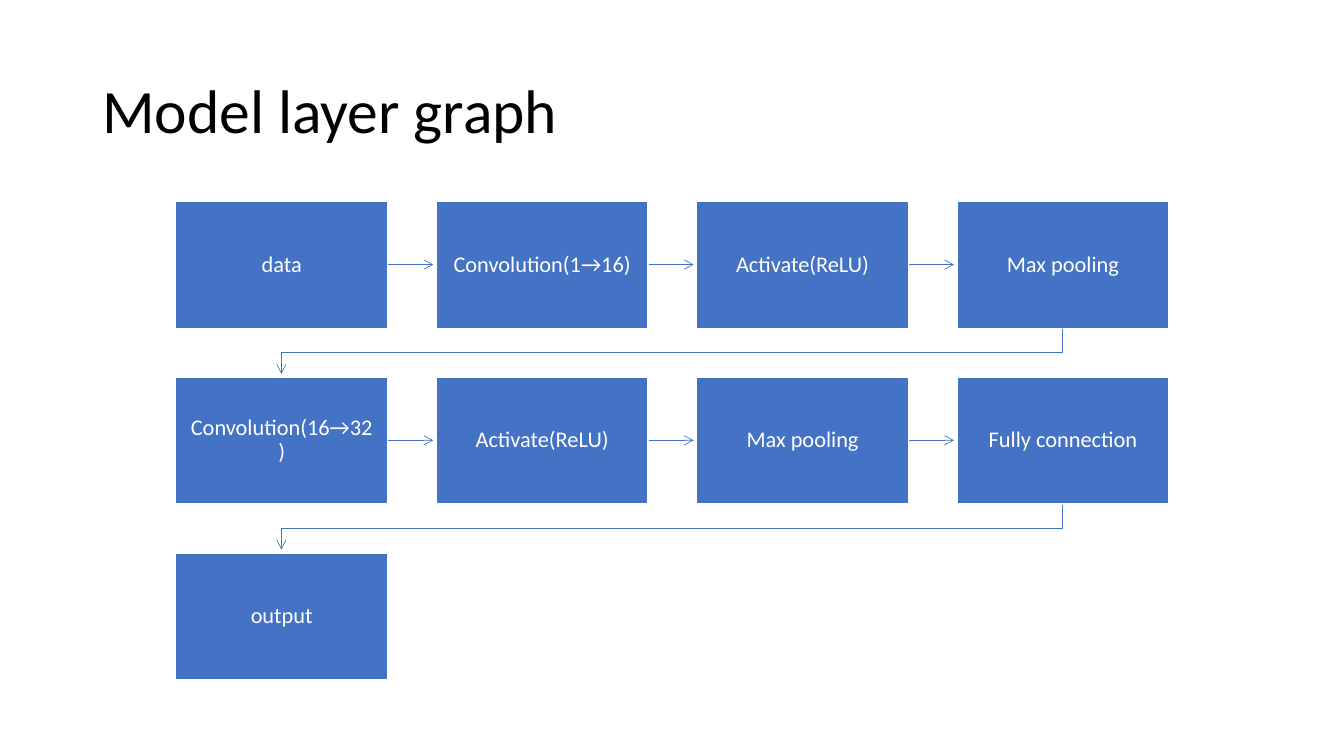
from pptx import Presentation
from pptx.dml.color import RGBColor
from pptx.enum.shapes import MSO_CONNECTOR as CONN, MSO_SHAPE as SHAPE
from pptx.enum.text import MSO_ANCHOR as ANCHOR, PP_ALIGN as ALIGN
from pptx.oxml.ns import qn
from pptx.util import Pt
from lxml.etree import SubElement

BLUE, WHITE, BLACK = "4472C4", "FFFFFF", "000000"
COLUMNS = 4
BOX_W, BOX_H = 303, 181
PITCH_X, PITCH_Y = 372, 251
ARROW, BEND = 65, 35
LAYERS = [
    "data", "Convolution(1→16)", "Activate(ReLU)", "Max pooling",
    "Convolution(16→32)", "Activate(ReLU)", "Max pooling", "Fully connection",
    "output",
]


def px(n):
    return n * 6350


def color(value):
    return RGBColor.from_string(value)


def write(shape, text, size, fill, align, inset):
    tf = shape.text_frame
    tf.word_wrap = True
    tf.vertical_anchor = ANCHOR.MIDDLE
    tf.margin_left = tf.margin_right = px(inset)
    tf.margin_top = tf.margin_bottom = px(inset)
    p = tf.paragraphs[0]
    p.text = text
    p.alignment = align
    p.line_spacing = 0.9
    font = p.runs[0].font
    font.name = "Calibri"
    font.size = Pt(size)
    font.color.rgb = color(fill)


def style_arrow(shape):
    shape.line.color.rgb = color(BLUE)
    shape.line.width = Pt(0.5)
    sp_pr = shape._element.spPr
    SubElement(sp_pr.find(qn("a:ln")), qn("a:tailEnd"), type="arrow")
    SubElement(sp_pr, qn("a:effectLst"))


def add_title(s, x, y, w, h):
    box = s.shapes.add_textbox(px(x), px(y), px(w), px(h))
    write(box, "Model layer graph", 44, BLACK, ALIGN.LEFT, 14)


def add_layer(s, text, x, y):
    box = s.shapes.add_shape(SHAPE.RECTANGLE, px(x), px(y), px(BOX_W), px(BOX_H))
    box.shadow.inherit = False
    box.fill.solid()
    box.fill.fore_color.rgb = color(BLUE)
    box.line.color.rgb = color(WHITE)
    box.line.width = Pt(1)
    write(box, text, 16, WHITE, ALIGN.CENTER, 17)


def add_step_arrow(s, x, y):
    arrow = s.shapes.add_connector(CONN.STRAIGHT, px(x), px(y), px(x + ARROW), px(y))
    style_arrow(arrow)


def add_row_arrow(s, start_x, end_x, y):
    path = s.shapes.build_freeform(px(start_x), px(y))
    path.add_line_segments([
        (px(start_x), px(y + BEND)),
        (px(end_x), px(y + BEND)),
        (px(end_x), px(y + ARROW)),
    ], close=False)
    arrow = path.convert_to_shape()
    arrow.fill.background()
    style_arrow(arrow)


def add_graph(s, left, top):
    for i, text in enumerate(LAYERS):
        row, col = divmod(i, COLUMNS)
        x, y = left + col * PITCH_X, top + row * PITCH_Y
        if i < len(LAYERS) - 1:
            if col < COLUMNS - 1:
                add_step_arrow(s, x + BOX_W, y + BOX_H // 2)
            else:
                add_row_arrow(s, x + BOX_W // 2, left + BOX_W // 2, y + BOX_H)
        add_layer(s, text, x, y)


def main():
    prs = Presentation()
    prs.slide_width, prs.slide_height = px(1920), px(1080)
    s = prs.slides.add_slide(prs.slide_layouts[6])
    add_title(s, 132, 58, 1656, 209)
    add_graph(s, 251, 288)
    prs.save("out.pptx")


if __name__ == "__main__":
    main()
